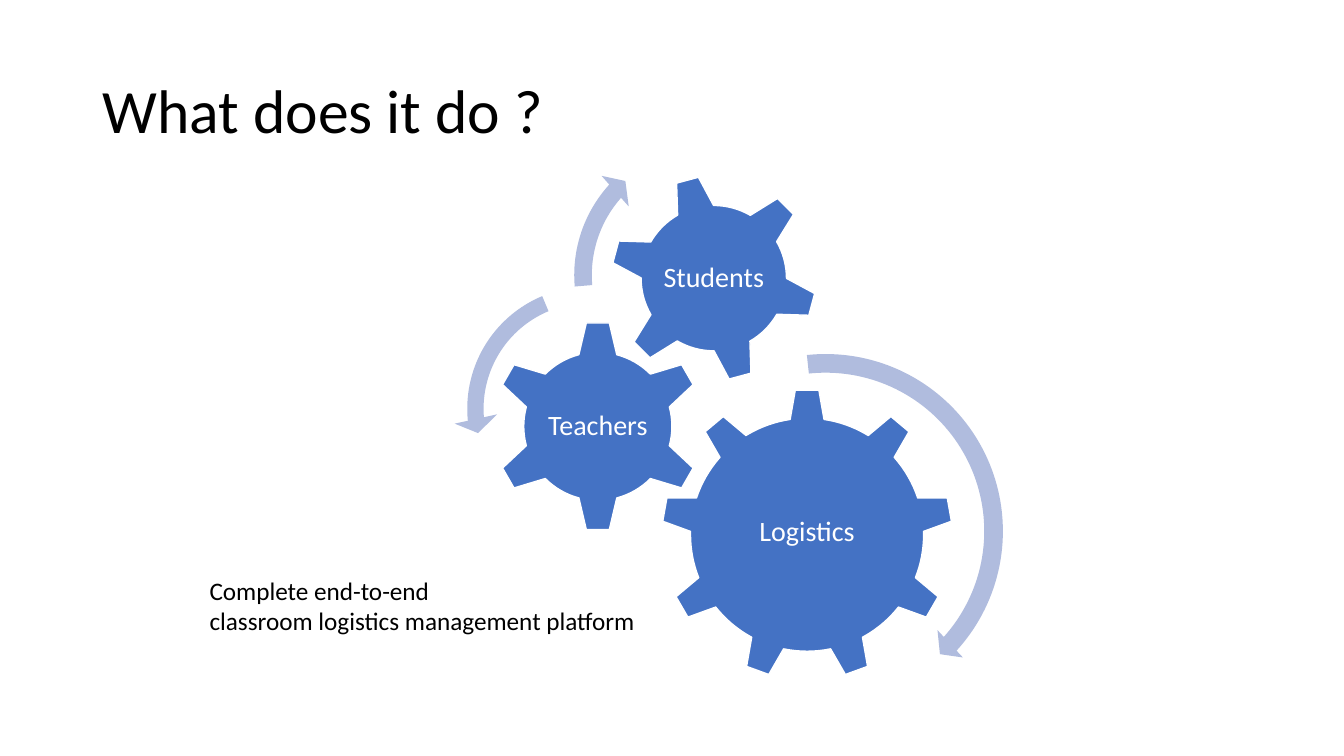
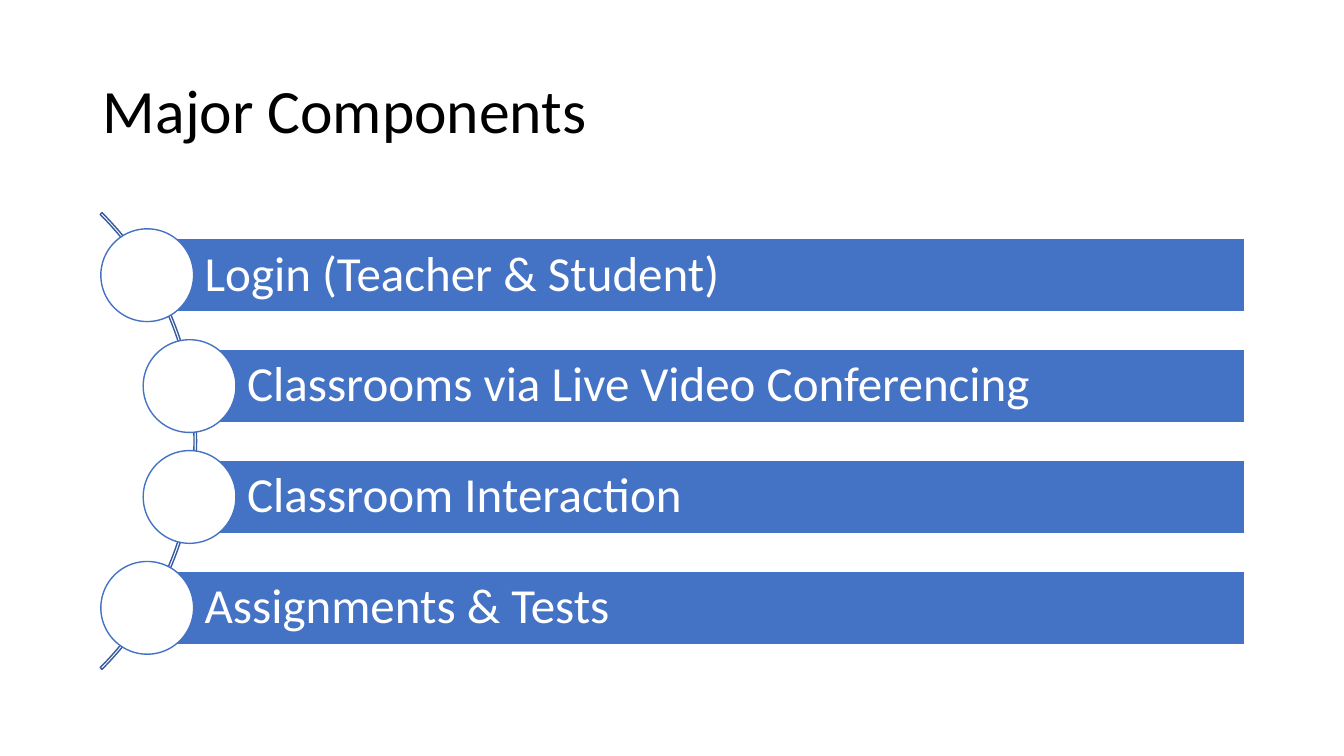
"""Build two slides: a gear diagram and a curved list of components."""
from pptx import Presentation
from pptx.dml.color import RGBColor
from pptx.enum.shapes import MSO_SHAPE
from pptx.enum.text import MSO_ANCHOR, MSO_AUTO_SIZE, PP_ALIGN
from pptx.util import Inches, Pt

RECT, OVAL, BLOCK_ARC = MSO_SHAPE.RECTANGLE, MSO_SHAPE.OVAL, MSO_SHAPE.BLOCK_ARC
GEAR_6, GEAR_9 = MSO_SHAPE.GEAR_6, MSO_SHAPE.GEAR_9
CLOCKWISE, COUNTER = MSO_SHAPE.CIRCULAR_ARROW, MSO_SHAPE.LEFT_CIRCULAR_ARROW
LEFT, CENTER = PP_ALIGN.LEFT, PP_ALIGN.CENTER
MIDDLE, TOP = MSO_ANCHOR.MIDDLE, MSO_ANCHOR.TOP
NO_FIT = MSO_AUTO_SIZE.NONE

FONT = "Calibri"
BLACK, WHITE, BLUE = "000000", "FFFFFF", "4472C4"
PALE_BLUE, DARK_BLUE = "B0BCDE", "365B9D"

# kind, left, top, size, rotation, label, label width, label height, label lift
GEARS = [
    (GEAR_9, 6.56, 3.86, 2.89, 0, "Logistics", 1.73, 1.49, 0.02),
    (GEAR_6, 4.88, 3.18, 2.1, 0, "Teachers", 1.16, 1.04, 0),
    (GEAR_6, 6.05, 1.73, 2.06, 345, "Students", 1.16, 1.16, 0),
]
# kind, left, top, size, adjustments
ARROWS = [
    (CLOCKWISE, 6.34, 3.42, 3.7, (0.05, 2.99, 25.29, 158.34, 0.05)),
    (COUNTER, 4.5, 2.71, 2.69, (0.06, 4.3, 104.89, 148.38, 0.08)),
    (CLOCKWISE, 5.58, 1.28, 2.9, (0.06, 3.94, 133.14, 105.08, 0.07)),
]
TAGLINE = "Complete end-to-end\nclassroom logistics management platform"

# text, left of circle
COMPONENTS = [
    ("Login (Teacher & Student)", 1.0),
    ("Classrooms via Live Video Conferencing", 1.42),
    ("Classroom Interaction", 1.42),
    ("Assignments & Tests", 1.0),
]
FIRST_TOP, PITCH, CIRCLE = 2.27, 1.1, 0.92
BAR_HEIGHT, BAR_RIGHT = 0.73, 12.35


def rgb(value):
    """Turn a hex string into a colour."""
    return RGBColor.from_string(value)


def write(s, text, size, color=WHITE, align=LEFT, anchor=MIDDLE,
          insets=(0.1, 0.05, 0.1, 0.05), spacing=0.9, wrap=True):
    """Put formatted text into a shape."""
    tf = s.text_frame
    tf.word_wrap, tf.auto_size, tf.vertical_anchor = wrap, NO_FIT, anchor
    tf.margin_left, tf.margin_top, tf.margin_right, tf.margin_bottom = map(Inches, insets)
    p = tf.paragraphs[0]
    p.text = text
    p.alignment, p.line_spacing = align, spacing
    for r in p.runs:
        r.font.name, r.font.size = FONT, Pt(size)
        r.font.color.rgb = rgb(color)


def add_shape(slide, kind, *box, fill=None, line=None, adjust=()):
    """Add a preset shape with a plain fill and outline."""
    s = slide.shapes.add_shape(kind, *map(Inches, box))
    s.shadow.inherit = False
    if fill:
        s.fill.solid()
        s.fill.fore_color.rgb = rgb(fill)
    else:
        s.fill.background()
    if line:
        s.line.color.rgb = rgb(line)
        s.line.width = Pt(1)
    else:
        s.line.fill.background()
    for i, value in enumerate(adjust):
        s.adjustments[i] = value
    return s


def add_text(slide, box, text, size, **style):
    """Add a text box."""
    write(slide.shapes.add_textbox(*map(Inches, box)), text, size, **style)


def add_slide(prs, title):
    """Add a title-only slide with the shared title style."""
    slide = prs.slides.add_slide(prs.slide_layouts[5])
    s = slide.shapes.title
    s.left, s.top, s.width, s.height = map(Inches, (0.92, 0.4, 11.5, 1.45))
    write(s, title, 44, color=BLACK)
    return slide


def build_gears(prs):
    """Draw the three labelled gears, their arrows and the tagline."""
    slide = add_slide(prs, "What does it do ?")
    for kind, x, y, size, rotation, label, w, h, lift in GEARS:
        s = add_shape(slide, kind, x, y, size, size, fill=BLUE, line=WHITE)
        s.rotation = rotation
        box = (x + (size - w) / 2, y + (size - h) / 2 - lift, w, h)
        add_text(slide, box, label, 20, align=CENTER, insets=(0.03,) * 4)
    for kind, x, y, size, adjust in ARROWS:
        add_shape(slide, kind, x, y, size, size, fill=PALE_BLUE, adjust=adjust)
    add_text(slide, (1.98, 5.66, 4.47, 0.71), TAGLINE, 18, color=BLACK,
             anchor=TOP, spacing=1.0, wrap=False)


def build_components(prs):
    """Draw the arc with one bar and circle per component."""
    slide = add_slide(prs, "Major Components")
    add_shape(slide, BLOCK_ARC, -4.46, 1.17, 6.41, 6.41, line=DARK_BLUE,
              adjust=(189, 27, 0.004))
    for i, (text, x) in enumerate(COMPONENTS):
        y = FIRST_TOP + i * PITCH
        bar_left = x + 0.45
        s = add_shape(slide, RECT, bar_left, y + (CIRCLE - BAR_HEIGHT) / 2,
                      BAR_RIGHT - bar_left, BAR_HEIGHT, fill=BLUE, line=WHITE)
        write(s, text, 35, insets=(0.58, 0.1, 0.1, 0.1))
        add_shape(slide, OVAL, x, y, CIRCLE, CIRCLE, fill=WHITE, line=BLUE)


def main():
    """Build and save the presentation."""
    prs = Presentation()
    prs.slide_width, prs.slide_height = Inches(13.33), Inches(7.5)
    build_gears(prs)
    build_components(prs)
    prs.save("out.pptx")


if __name__ == "__main__":
    main()
